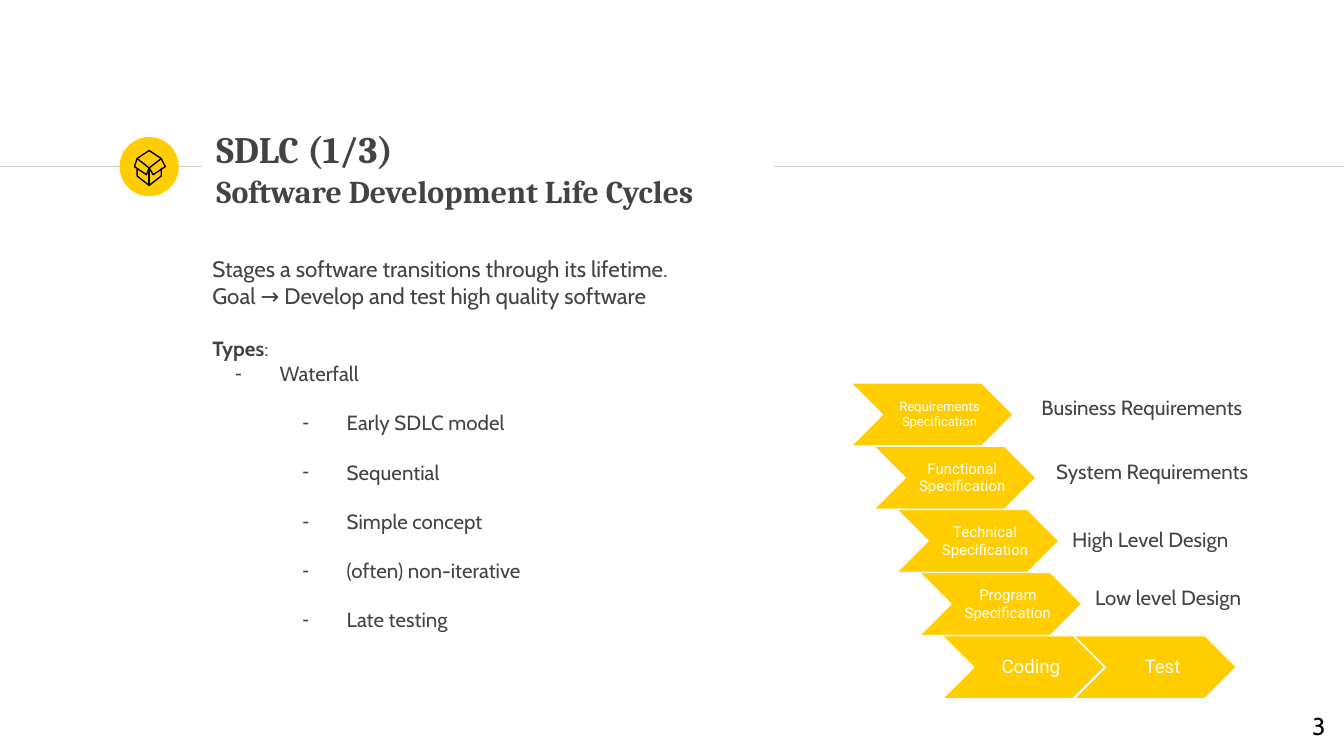
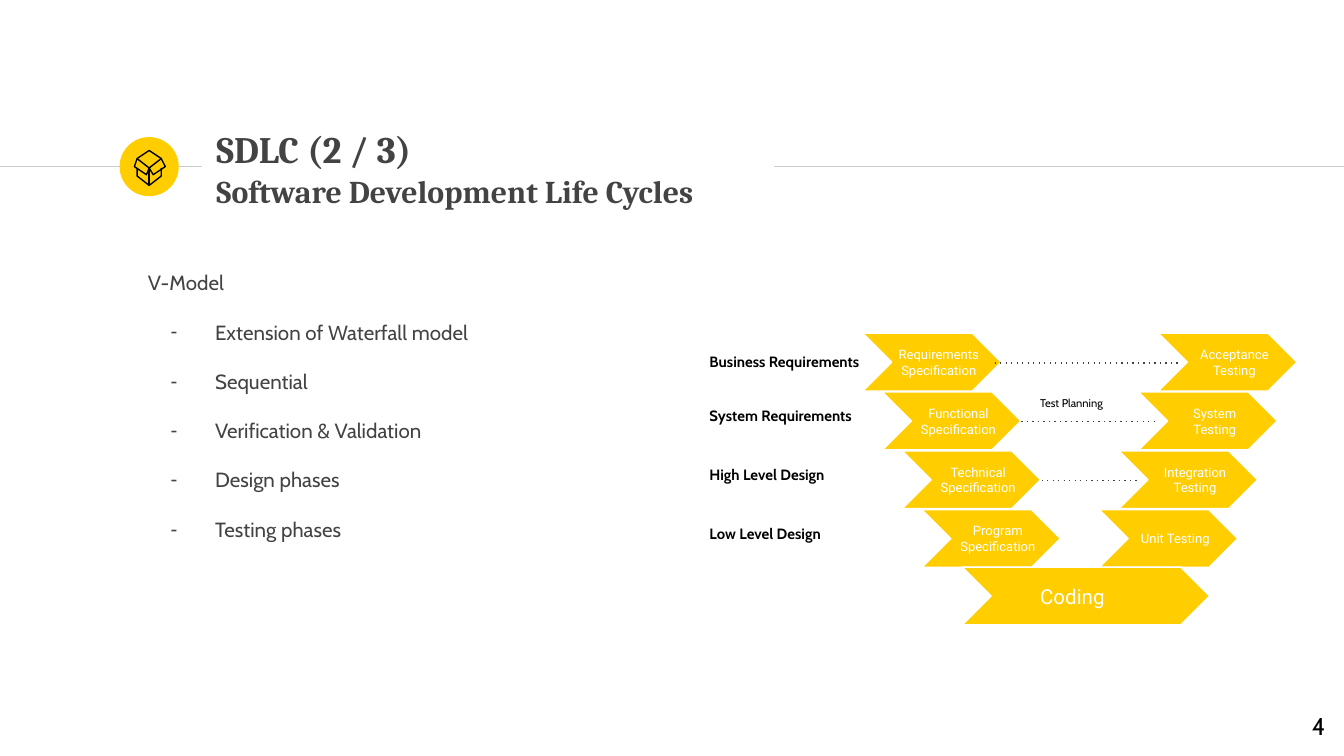
from dataclasses import dataclass

import pptx
import pptx.dml.color
import pptx.enum.shapes
import pptx.enum.text
import pptx.oxml
import pptx.oxml.ns
import pptx.util
from lxml import etree

Inches = pptx.util.Inches
Pt = pptx.util.Pt
Shape = pptx.enum.shapes.MSO_SHAPE
Align = pptx.enum.text.PP_ALIGN
Anchor = pptx.enum.text.MSO_ANCHOR
AutoSize = pptx.enum.text.MSO_AUTO_SIZE
qn = pptx.oxml.ns.qn


@dataclass(frozen=True)
class Theme:
    accent: str = "FFCD00"
    text: str = "434343"
    rule: str = "CCCCCC"
    dots: str = "424242"
    black: str = "000000"
    white: str = "FFFFFF"
    heading_font: str = "Cambria"
    body_font: str = "Cabin"
    step_font: str = "Roboto"
    title_size: float = 20
    subtitle_size: float = 17
    number_size: float = 13
    intro_size: float = 12
    body_size: float = 11
    coding_size: float = 10
    step_size: float = 8
    small_size: float = 7
    note_size: float = 6
    line_width: float = 0.75
    intro_gap: float = 14.5
    list_gap: float = 13.2


# Outlines of the open box icon, in hundredths of an inch
BOX_OUTLINES = [
    ([(102, 125), (102, 131), (111, 138), (120, 131), (120, 125)], False),
    ([(120, 118), (111, 112), (102, 118)], False),
    ([(109, 130), (100, 124), (102, 118), (111, 125)], True),
    ([(114, 130), (123, 124), (120, 118), (111, 125)], True),
]


class Deck:
    def __init__(self, theme):
        self.theme = theme
        self.prs = pptx.Presentation()
        self.prs.slide_width = Inches(10)
        self.prs.slide_height = Inches(10) * 9 // 16
        self.slide = None

    @staticmethod
    def rgb(colour):
        return pptx.dml.color.RGBColor.from_string(colour)

    def style(self, font, name, size, colour, bold=False):
        font.name = name
        font.bold = bold
        font.color.rgb = self.rgb(colour)
        if size:
            font.size = Pt(size)

    def frame(self, shape, anchor=Anchor.TOP, grow=False):
        frame = shape.text_frame
        frame.word_wrap = True
        frame.auto_size = AutoSize.SHAPE_TO_FIT_TEXT if grow else AutoSize.NONE
        frame.vertical_anchor = anchor
        frame.margin_left = frame.margin_right = Inches(0.1)
        frame.margin_top = frame.margin_bottom = Inches(0.1)
        return frame

    def place(self, shape, left, top, width, height):
        shape.left, shape.top = Inches(left), Inches(top)
        shape.width, shape.height = Inches(width), Inches(height)

    # Parts shared by every slide
    def new_slide(self, heading, number):
        t = self.theme
        self.slide = self.prs.slides.add_slide(self.prs.slide_layouts[1])
        self.line(0, 1.5, 1.24, t.rule)
        self.line(5.76, 10, 1.24, t.rule)
        self.shape(Shape.OVAL, 0.89, 1.02, 0.44, 0.44)
        self.box_icon()
        self.title(heading, "Software Development Life Cycles")
        self.text(number, 9.36, 5.19, 0.6, 0.43, t.number_size, align=Align.RIGHT)

    def title(self, heading, subtitle):
        t = self.theme
        title = self.slide.shapes.title
        self.place(title, 1.51, 1.01, 4.24, 0.48)
        paragraph = self.frame(title, Anchor.MIDDLE).paragraphs[0]
        paragraph.alignment = Align.LEFT
        self.style(paragraph.font, t.heading_font, None, t.text, True)
        first = paragraph.add_run()
        first.text, first.font.size = heading, Pt(t.title_size)
        paragraph.add_line_break()
        second = paragraph.add_run()
        second.text, second.font.size = subtitle, Pt(t.subtitle_size)

    def box_icon(self):
        icon = self.slide.shapes.add_group_shape()
        for points, closed in BOX_OUTLINES:
            builder = icon.shapes.build_freeform(*points[0], scale=Inches(0.01))
            builder.add_line_segments(points[1:], close=closed)
            outline = builder.convert_to_shape()
            outline.shadow.inherit = False
            outline.fill.background()
            outline.line.color.rgb = self.rgb(self.theme.black)
            outline.line.width = Pt(self.theme.line_width)
        self.line(1.11, 1.11, 1.25, self.theme.black, bottom=1.38)

    # Elements
    def line(self, left, right, y, colour, bottom=None, dotted=False):
        connector = self.slide.shapes.add_connector(
            pptx.enum.shapes.MSO_CONNECTOR.STRAIGHT, Inches(left), Inches(y),
            Inches(right), Inches(y if bottom is None else bottom))
        connector.line.color.rgb = self.rgb(colour)
        connector.line.width = Pt(self.theme.line_width)
        properties = connector._element.spPr
        if dotted:
            outline = properties.find(qn("a:ln"))
            etree.SubElement(outline, qn("a:prstDash")).set("val", "dot")
        etree.SubElement(properties, qn("a:effectLst"))

    def shape(self, kind, left, top, width, height, border=None):
        shape = self.slide.shapes.add_shape(
            kind, Inches(left), Inches(top), Inches(width), Inches(height))
        shape.shadow.inherit = False
        shape.fill.solid()
        shape.fill.fore_color.rgb = self.rgb(self.theme.accent)
        if border:
            shape.line.color.rgb = self.rgb(border)
            shape.line.width = Pt(self.theme.line_width)
        else:
            shape.line.fill.background()

    def text(self, words, left, top, width, height, size, colour=None, font=None,
             bold=False, align=Align.LEFT, anchor=Anchor.TOP, grow=False):
        t = self.theme
        box = self.slide.shapes.add_textbox(
            Inches(left), Inches(top), Inches(width), Inches(height))
        paragraph = self.frame(box, anchor, grow).paragraphs[0]
        paragraph.text = words
        paragraph.alignment = align
        self.style(paragraph.font, font or t.body_font, size, colour or t.black, bold)

    def step(self, words, left, top, size, chevron, label, inset):
        t = self.theme
        self.shape(Shape.CHEVRON, left, top, *chevron, border=t.white)
        self.text(words, left + inset, top + 0.08, *label, size, t.white,
                  t.step_font, align=Align.CENTER, anchor=Anchor.MIDDLE)

    def body(self, left, top, first_line=0.1):
        body = self.slide.placeholders[1]
        self.place(body, left, top, 7.04, 3.53)
        frame = self.frame(body)
        frame.margin_top = Inches(first_line)
        return frame

    def item(self, frame, words, level=None, size=None, gap=0):
        """Add a paragraph; a level gives it a dash, pairs give bold runs."""
        t = self.theme
        paragraph = frame.paragraphs[0]
        if paragraph.text:
            paragraph = frame.add_paragraph()
        if isinstance(words, str):
            paragraph.text = words
        else:
            for part, bold in words:
                run = paragraph.add_run()
                run.text, run.font.bold = part, bold
        paragraph.level = level or 0
        paragraph.space_before = Pt(0)
        paragraph.space_after = Pt(gap)
        properties = paragraph._p.get_or_add_pPr()
        if level is None:
            properties.set("marL", "0")
            properties.set("indent", "0")
            etree.SubElement(properties, qn("a:buNone"))
        else:
            properties.set("marL", str(Inches(0.5 * (level + 1))))
            properties.set("indent", str(-Inches(0.33)))
            colour = etree.SubElement(properties, qn("a:buClr"))
            etree.SubElement(colour, qn("a:srgbClr")).set("val", t.text)
            etree.SubElement(properties, qn("a:buChar")).set("char", "-")
        self.style(paragraph.font, t.body_font, size or t.body_size, t.text)


def waterfall_slide(deck):
    t = deck.theme
    deck.new_slide("SDLC (1/3)", "3")

    # Definition and list
    body = deck.body(1.48, 1.8)
    deck.item(body, "Stages a software transitions through its lifetime.\v"
              "Goal → Develop and test high quality software",
              size=t.intro_size, gap=t.intro_gap)
    deck.item(body, [("Types", True), (":", False)])
    deck.item(body, "Waterfall", level=0, gap=t.list_gap)
    for trait in ("Early SDLC model", "Sequential", "Simple concept",
                  "(often) non-iterative", "Late testing"):
        deck.item(body, trait, level=1, gap=t.list_gap)

    # Descending steps
    steps = [("Requirements Specification", t.small_size),
             ("Functional Specification", t.step_size),
             ("Technical Specification", t.step_size),
             ("Program Specification", t.step_size),
             ("Coding", t.coding_size)]
    size = dict(chevron=(1.21, 0.47), label=(0.98, 0.3), inset=0.17)
    for row, (name, type_size) in enumerate(steps):
        deck.step(name, 6.33 + 0.17 * row, 2.85 + 0.47 * row, type_size, **size)
    deck.step("Test", 7.99, 4.73, t.coding_size, **size)

    # What each step delivers
    for name, left, top in (("Business Requirements", 7.65, 2.85),
                            ("System Requirements", 7.76, 3.32),
                            ("High Level Design", 7.88, 3.83),
                            ("Low level Design", 8.05, 4.26)):
        deck.text(name, left, top, 2.2, 0.39, t.body_size, t.text, grow=True)


def v_model_slide(deck):
    t = deck.theme
    deck.new_slide("SDLC (2 / 3)", "4")

    # Traits of the model
    body = deck.body(1, 1.54, first_line=0.47)
    deck.item(body, "V-Model", gap=t.list_gap)
    for trait in ("Extension of Waterfall model", "Sequential",
                  "Verification & Validation", "Design phases", "Testing phases"):
        deck.item(body, trait, level=0, gap=t.list_gap)

    # Both arms of the V, closing in row by row
    rows = [("Business Requirements", 2.56, "Requirements Specification", "Acceptance Testing"),
            ("System Requirements", 2.96, "Functional Specification", "System Testing"),
            ("High Level Design", 3.4, "Technical Specification", "Integration Testing"),
            ("Low Level Design", 3.84, "Program Specification", "Unit Testing")]
    step_in, step_down = 0.44 / 3, 1.75 / 4
    size = dict(chevron=(1.03, 0.43), label=(0.83, 0.27), inset=0.15)
    for row, (level, level_top, design, test) in enumerate(rows):
        shift, top = step_in * row, 2.48 + step_down * row
        deck.text(level, 5.18, level_top, 1.38, 0.34, t.step_size, bold=True, grow=True)
        deck.step(design, 6.42 + shift, top, t.small_size, **size)
        deck.step(test, 8.62 - shift, top, t.small_size, **size)
    deck.step("Coding", 7.16, 4.22, t.body_size,
              chevron=(1.84, 0.43), label=(1.16, 0.27), inset=0.24)

    # Test planning links
    for row, start in enumerate((7.4, 7.6, 7.75)):
        deck.line(start, 8.77 - step_in * row, 2.7 + step_down * row, t.dots, dotted=True)
    deck.text("Test Planning", 7.64, 2.9, 0.8, 0.3, t.note_size, grow=True)


def main():
    deck = Deck(Theme())
    waterfall_slide(deck)
    v_model_slide(deck)
    deck.prs.save("out.pptx")


if __name__ == "__main__":
    main()
